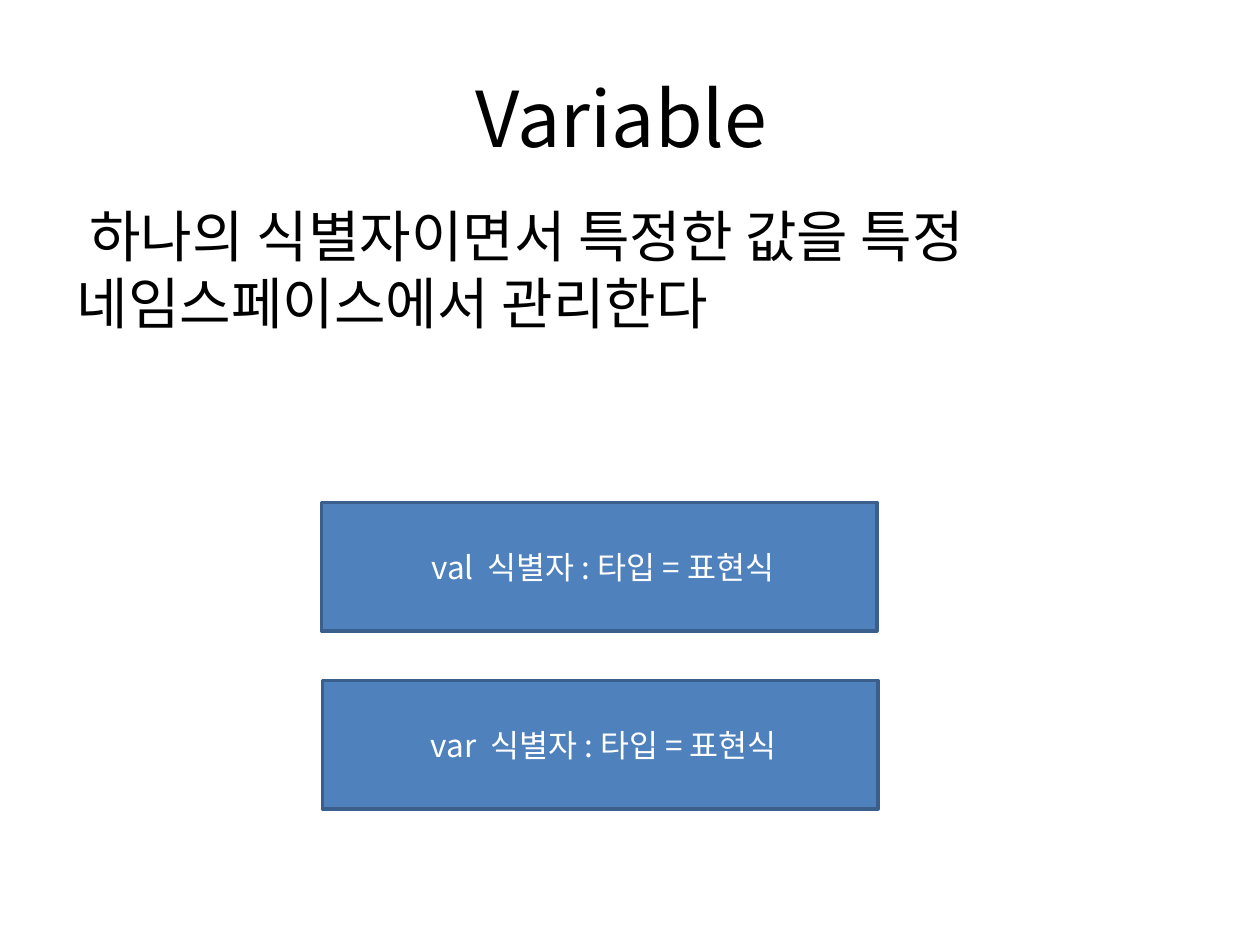
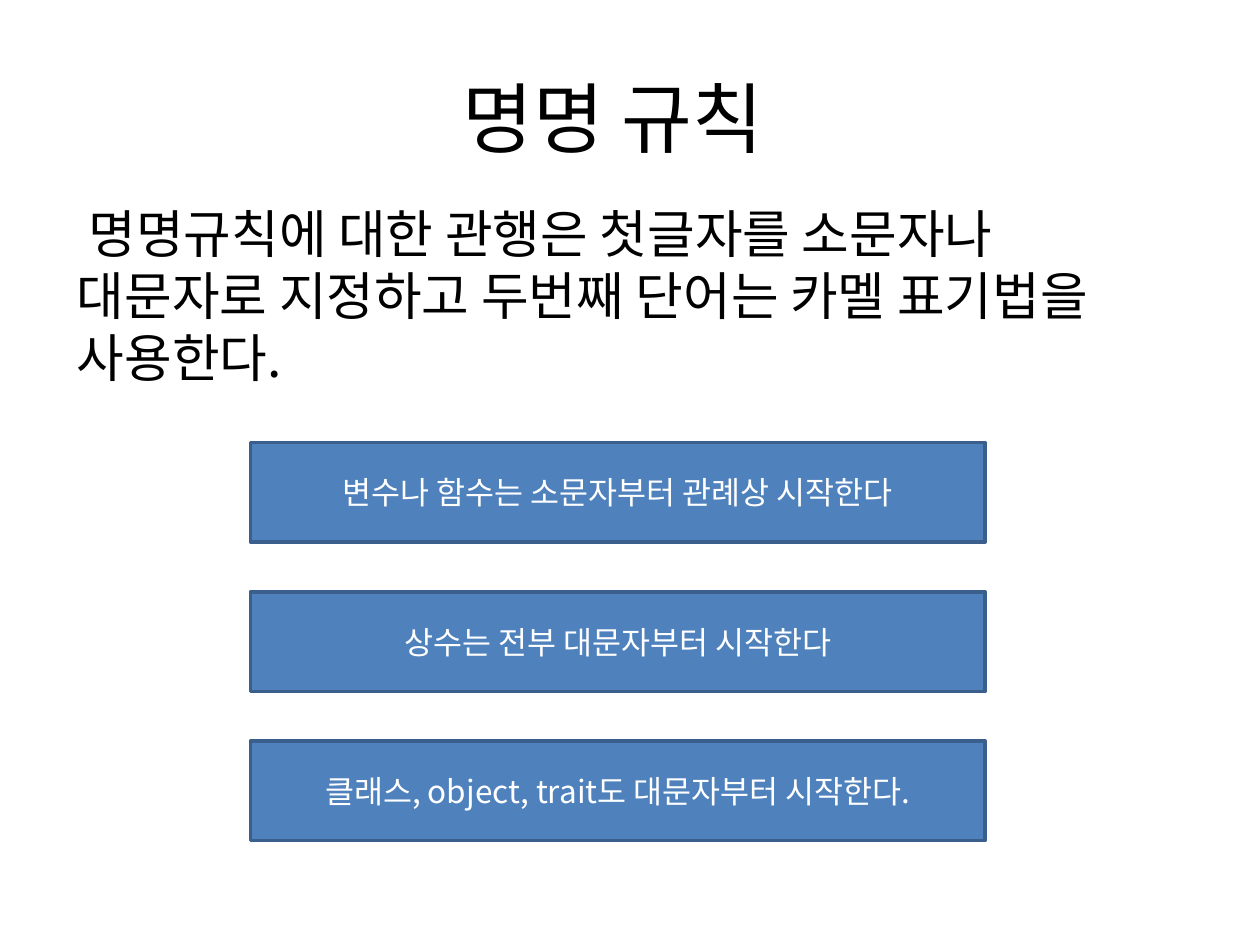
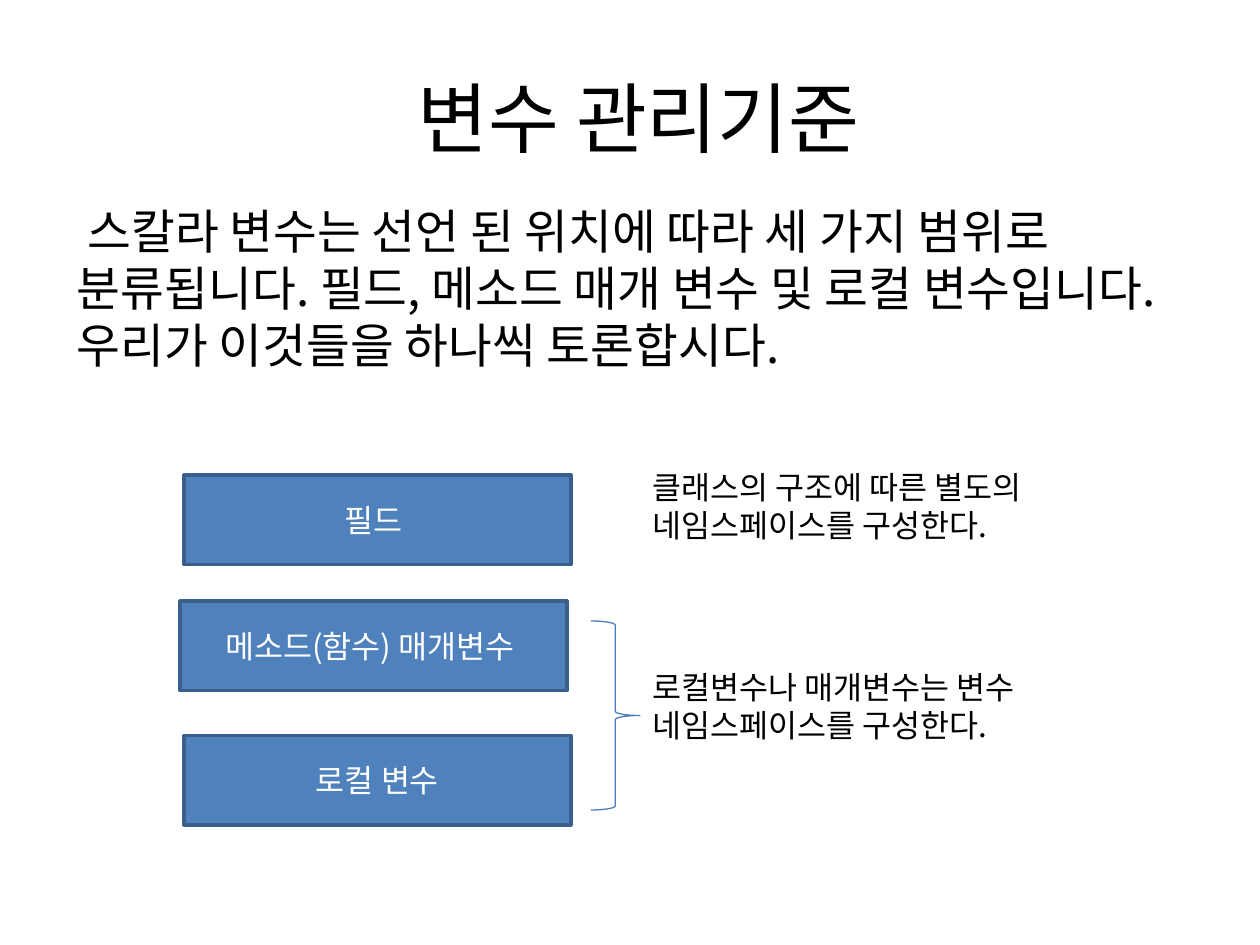
"""Build three slides on Scala variables: syntax, naming and scope."""
import dataclasses
import pptx
import pptx.dml.color
import pptx.enum.shapes
import pptx.enum.text
import pptx.oxml.ns
import pptx.util
from lxml import etree

Cm = pptx.util.Cm
Pt = pptx.util.Pt
Rgb = pptx.dml.color.RGBColor.from_string
Kind = pptx.enum.shapes.MSO_SHAPE
Align = pptx.enum.text.PP_ALIGN
Anchor = pptx.enum.text.MSO_ANCHOR


@dataclasses.dataclass(frozen=True)
class Theme:
    font: str = "Noto Sans CJK KR"
    ink: str = "000000"
    paper: str = "FFFFFF"
    fill: str = "4F81BD"
    edge: str = "3A5F8C"
    brace: str = "4B7EBC"
    title: float = 44
    label: float = 18


theme = Theme()


def write(shape, text, size=theme.label, color=theme.ink, align=Align.LEFT,
          anchor=Anchor.TOP, before=0):
    frame = shape.text_frame
    frame.word_wrap = True
    frame.vertical_anchor = anchor
    para = frame.paragraphs[0]
    para.alignment = align
    para.space_before = Pt(before)
    run = para.add_run()
    run.text = text
    run.font.size = Pt(size)
    run.font.name = theme.font
    run.font.color.rgb = Rgb(color)
    east = etree.SubElement(run.font._element, pptx.oxml.ns.qn("a:ea"))
    east.set("typeface", theme.font)


def draw(slide, kind, area, edge, width):
    shape = slide.shapes.add_shape(kind, *map(Cm, area))
    shape.shadow.inherit = False
    shape.line.color.rgb = Rgb(edge)
    shape.line.width = Pt(width)
    return shape


pages = [
    dict(title="Variable ", size=32,
         body=" 하나의 식별자이면서 특정한 값을 특정 네임스페이스에서 관리한다",
         box=(11.2, 2.59),
         items=[(6.48, 10.13, " val  식별자 : 타입 = 표현식"),
                (6.5, 13.72, " var  식별자 : 타입 = 표현식")]),
    dict(title="명명 규칙  ", size=29.6,
         body=" 명명규칙에 대한 관행은 첫글자를 소문자나 대문자로 지정하고 "
              "두번째 단어는 카멜 표기법을 사용한다.",
         box=(14.81, 2.01),
         items=[(5.05, 8.92 + 3.01 * row, text) for row, text in enumerate([
             "변수나 함수는 소문자부터 관례상 시작한다",
             "상수는 전부 대문자부터 시작한다",
             "클래스, object, trait도 대문자부터 시작한다."])]),
    dict(title=" 변수 관리기준", size=27.2,
         body=" 스칼라 변수는 선언 된 위치에 따라 세 가지 범위로 분류됩니다. "
              "필드, 메소드 매개 변수 및 로컬 변수입니다. "
              "우리가 이것들을 하나씩 토론합시다.",
         box=(7.8, 1.8),
         items=[(3.71, 9.58, "필드 "),
                (3.63, 12.12, "메소드(함수) 매개변수 "),
                (3.71, 14.83, "로컬 변수")]),
]
notes = [(9.32, "클래스의 구조에 따른 별도의 네임스페이스를 구성한다."),
         (13.34, "로컬변수나 매개변수는 변수 네임스페이스를 구성한다.")]

deck = pptx.Presentation()
deck.slide_width = Cm(25.4)
deck.slide_height = Cm(19.05)

for page in pages:
    slide = deck.slides.add_slide(deck.slide_layouts[6])
    slide.background.fill.solid()
    slide.background.fill.fore_color.rgb = Rgb(theme.paper)
    head = slide.shapes.add_textbox(Cm(1.27), Cm(0.76), Cm(22.86), Cm(3.18))
    write(head, page["title"], size=theme.title, align=Align.CENTER,
          anchor=Anchor.MIDDLE)
    body = slide.shapes.add_textbox(Cm(1.3), Cm(3.94), Cm(22.43), Cm(3.68))
    write(body, page["body"], size=page["size"], before=page["size"] * 0.2)
    for left, top, text in page["items"]:
        box = draw(slide, Kind.RECTANGLE, (left, top, *page["box"]),
                   theme.edge, 2)
        box.fill.solid()
        box.fill.fore_color.rgb = Rgb(theme.fill)
        write(box, text, color=theme.paper, align=Align.CENTER,
              anchor=Anchor.MIDDLE)

for top, text in notes:
    note = slide.shapes.add_textbox(Cm(12.9), Cm(top), Cm(10.8), Cm(1.8))
    write(note, text)
brace = draw(slide, Kind.RIGHT_BRACE, (11.91, 12.52, 0.99, 3.81),
             theme.brace, 0.75)
brace.fill.background()

deck.save("out.pptx")
